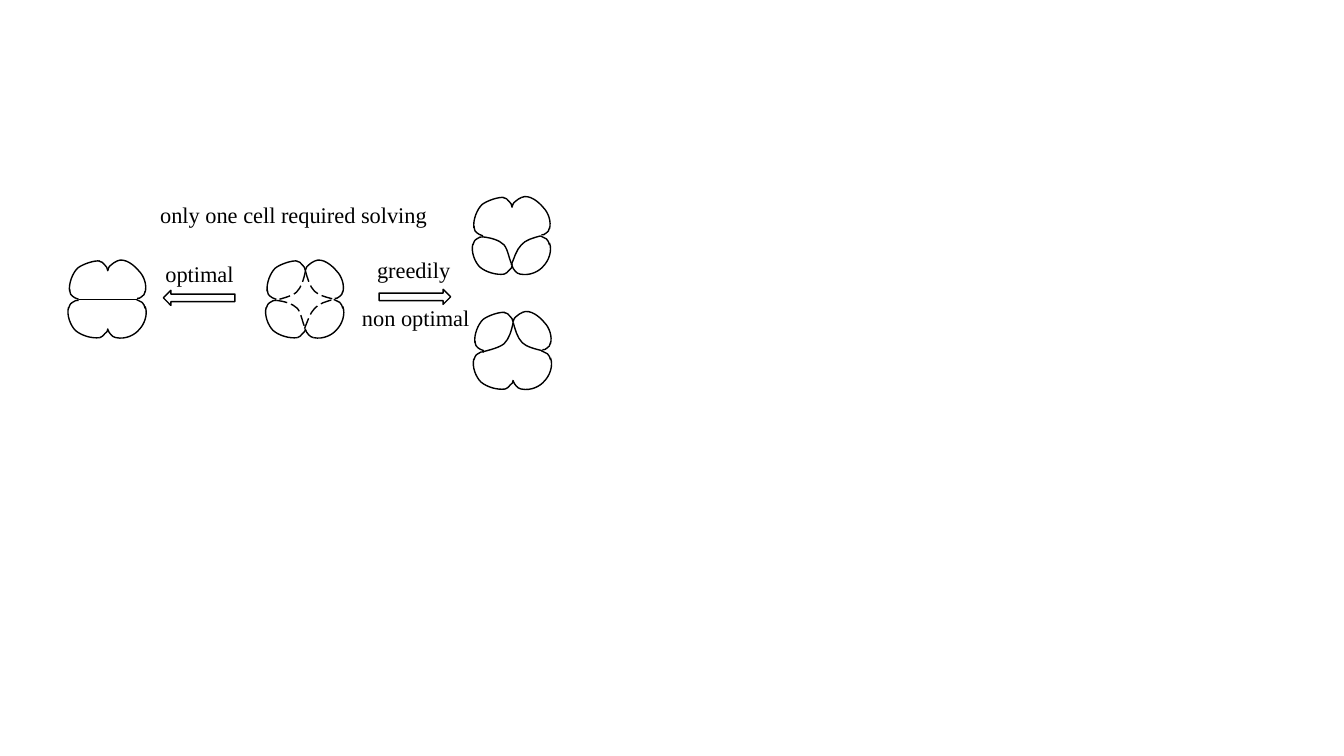
import pptx
import pptx.dml.color
import pptx.enum.dml
import pptx.enum.shapes
import pptx.enum.text
import pptx.oxml
import pptx.oxml.ns
import pptx.util

PX = 9144  # EMU in one px, at 100 px to the inch
BLACK = pptx.dml.color.RGBColor(0, 0, 0)
FONT = "Times New Roman"
LONG_DASH = pptx.enum.dml.MSO_LINE.LONG_DASH
ARROWS = pptx.enum.shapes.MSO_SHAPE

# Each curve is a start point, then two cubic Bézier segments of three points,
# in px from the top left corner of the embryo.
OUTLINE = [
    # short folds where neighbouring cells meet
    [(39, 11), (38, 8), (38, 6), (36, 5), (35, 3), (32, 1), (30, 1)],
    [(10, 39), (7, 38), (5, 37), (4, 36), (2, 34), (2, 35), (1, 29)],
    [(31, 77), (33, 76), (35, 75), (36, 73), (38, 72), (39, 70), (39, 68)],
    [(0, 48), (2, 42), (3, 43), (4, 42), (6, 40), (8, 40), (10, 40)],
    [(47, 77), (45, 77), (43, 75), (42, 74), (41, 72), (39, 71), (39, 69)],
    [(76, 48), (76, 45), (74, 44), (73, 42), (71, 41), (69, 40), (67, 39)],
    [(48, 1), (46, 2), (44, 3), (42, 5), (41, 6), (40, 6), (39, 10)],
    [(76, 31), (76, 34), (74, 35), (73, 36), (71, 38), (70, 38), (68, 38)],
    # outer arcs of the four cells
    [(1, 31), (0, 23), (4, 13), (9, 8), (14, 4), (26, 0), (31, 1)],
    [(48, 1), (56, -3), (66, 6), (70, 11), (75, 16), (78, 25), (76, 32)],
    [(0, 47), (-2, 55), (2, 65), (7, 70), (13, 75), (23, 78), (31, 77)],
    [(76, 46), (79, 54), (75, 64), (70, 69), (66, 74), (57, 79), (47, 77)],
]
WALLS = {
    "top left": [(39, 11), (37, 20), (35, 27), (30, 32), (25, 36), (16, 38), (9, 40)],
    "bottom left": [(10, 40), (18, 41), (26, 43), (31, 48), (35, 53), (36, 63), (39, 68)],
    "bottom right": [(38, 68), (41, 61), (43, 53), (48, 48), (52, 43), (60, 41), (67, 39)],
    "top right": [(39, 11), (41, 18), (43, 26), (48, 31), (52, 35), (60, 37), (68, 39)],
}


def px(*lengths):
    return [pptx.util.Emu(length * PX) for length in lengths]


def set_line(drawn, dash=None):
    drawn.line.color.rgb = BLACK
    drawn.line.width = pptx.util.Pt(1)
    if dash is not None:
        drawn.line.dash_style = dash


def add_curve(slide, left, top, points, dash=None):
    """Draw an open Bézier curve with its points offset by left and top."""
    start, *controls = [(left + x, top + y) for x, y in points]
    builder = slide.shapes.build_freeform(*start, scale=PX)
    builder.add_line_segments(controls, close=False)
    curve = builder.convert_to_shape()
    segments = curve.element.xpath(".//a:lnTo")
    for first in range(0, len(segments), 3):
        bezier = pptx.oxml.parse_xml(f"<a:cubicBezTo {pptx.oxml.ns.nsdecls('a')}/>")
        segments[first].addprevious(bezier)
        for segment in segments[first:first + 3]:
            bezier.append(segment[0])
            segment.getparent().remove(segment)
    curve.fill.background()
    curve.shadow.inherit = False
    set_line(curve, dash)


def add_embryo(slide, left, top, walls=(), dash=None):
    """Draw the four-lobed outline and the named walls between its cells."""
    for wall in walls:
        add_curve(slide, left, top, WALLS[wall], dash)
    for arc in OUTLINE:
        add_curve(slide, left, top, arc)


def add_division(slide, left, top):
    """Draw the straight wall across an embryo."""
    division = slide.shapes.add_connector(
        pptx.enum.shapes.MSO_CONNECTOR.STRAIGHT,
        *px(left + 10, top + 39, left + 67, top + 39))
    set_line(division)
    division.element.spPr.append(
        pptx.oxml.parse_xml(f"<a:effectLst {pptx.oxml.ns.nsdecls('a')}/>"))


def add_arrow(slide, direction, left, top):
    arrow = slide.shapes.add_shape(direction, *px(left, top, 71, 15))
    arrow.fill.background()
    arrow.shadow.inherit = False
    set_line(arrow)


def add_label(slide, text, left, top, width, height, wrap=False):
    label = slide.shapes.add_textbox(*px(left, top, width, height))
    frame = label.text_frame
    frame.word_wrap = wrap
    frame.auto_size = pptx.enum.text.MSO_AUTO_SIZE.SHAPE_TO_FIT_TEXT
    if not wrap:
        frame.margin_left = frame.margin_right = 0
        frame.margin_top = frame.margin_bottom = 0
    paragraph = frame.paragraphs[0]
    paragraph.text = text
    paragraph.font.name = FONT
    paragraph.font.size = pptx.util.Pt(16)
    paragraph.font.color.rgb = BLACK


def add_start(slide, left, top):
    add_embryo(slide, left, top, WALLS, LONG_DASH)
    add_label(slide, "only one cell required solving", left - 115, top - 63, 290, 37, wrap=True)


def add_optimal_result(slide, left, top):
    add_embryo(slide, left, top)
    add_division(slide, left, top)
    add_arrow(slide, ARROWS.LEFT_ARROW, left + 94, top + 30)
    add_label(slide, "optimal", left + 96, top, 69, 27)


def add_greedy_results(slide, left, top):
    add_arrow(slide, ARROWS.RIGHT_ARROW, left + 17, top + 92)
    add_label(slide, "greedily", left + 15, top + 59, 74, 27)
    add_label(slide, "non optimal", left, top + 107, 108, 27)
    add_embryo(slide, left + 110, top, ["bottom left", "bottom right"])
    add_embryo(slide, left + 111, top + 114, ["top left", "top right"])


def main():
    presentation = pptx.Presentation()
    presentation.slide_width, presentation.slide_height = px(1333, 750)
    slide = presentation.slides.add_slide(presentation.slide_layouts[6])
    add_start(slide, 264, 258)
    add_optimal_result(slide, 68, 258)
    add_greedy_results(slide, 359, 195)
    presentation.save("out.pptx")


if __name__ == "__main__":
    main()
